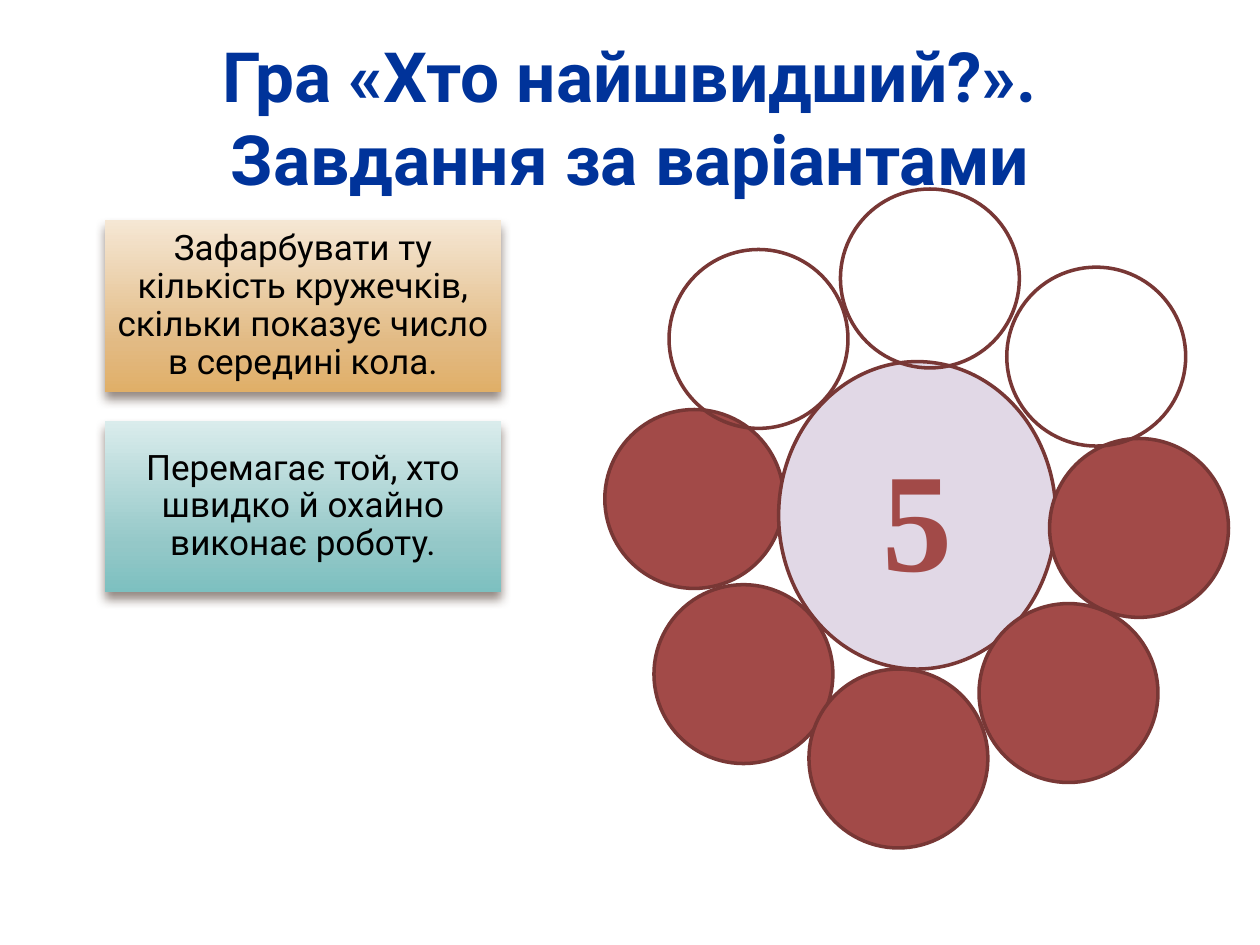
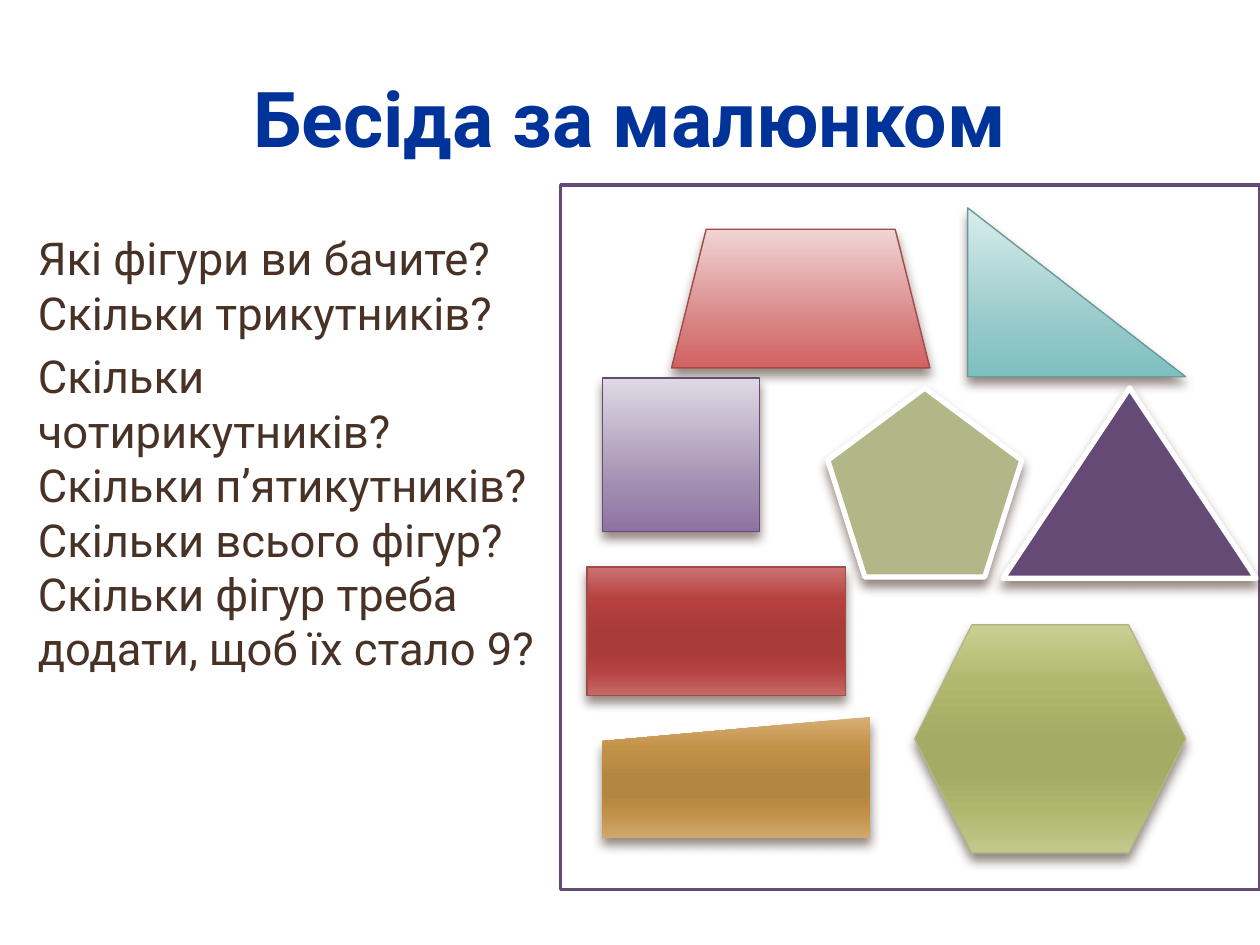
from lxml.etree import SubElement
from pptx import Presentation
from pptx.dml.color import RGBColor
from pptx.enum.shapes import MSO_SHAPE as Shape
from pptx.enum.text import MSO_ANCHOR as Anchor, MSO_AUTO_SIZE as AutoSize, PP_ALIGN as Align
from pptx.oxml.ns import qn
from pptx.util import Inches, Pt

TITLE_ONLY, TITLE_AND_CONTENT = 5, 1
SHEEN_POSITIONS = (0, 25, 50, 65, 80, 100)
SOFT_POSITIONS = (0, 72, 100)

SAND = ("F5E7D4", "E2BA83", "E0AF68")
AQUA = ("DAECEC", "94C8C8", "7DC0C0")
ROSE = ("F1D4D4", "D67F7E", "D26160")
LILAC = ("DFD9E4", "A08CB0", "8E72A3")
RED_SHEEN = ("CB7372", "B6413F", "A93B39", "A93B39", "B4413F", "C56B69")
GREEN_SHEEN = ("C9D092", "B0B86F", "A3AB65", "A3AB65", "AFB76E", "C2C98B")
GOLD_SHEEN = ("D7AE76", "C29248", "B48741", "B48741", "C19147", "D1A86E")
BRICK, DARK_BRICK, PLUM, OLIVE, WHITE = "A24A48", "783735", "654A76", "B2B787", "FFFFFF"


def color(hex_code):
    return RGBColor.from_string(hex_code)


class Deck:
    FONT = "Roboto"
    TITLE_COLOR = "00339A"
    BODY_COLOR = "483226"
    SHADOW_COLOR = "4E3B30"

    def __init__(self):
        self.prs = Presentation()
        self.prs.slide_width, self.prs.slide_height = Inches(10), Inches(7.5)
        self.slide = None

    def add_slide(self, layout, title, title_size):
        self.slide = self.prs.slides.add_slide(self.prs.slide_layouts[layout])
        heading = self.slide.shapes.title
        self.place(heading, 0.5, 0.3, 9, 1.25)
        frame = heading.text_frame
        frame.text = title
        frame.auto_size = AutoSize.NONE
        frame.vertical_anchor = Anchor.MIDDLE
        frame.paragraphs[0].alignment = Align.CENTER
        self.style(frame.paragraphs[0], title_size, self.TITLE_COLOR, bold=True)

    def place(self, item, left, top, width, height):
        item.left, item.top = Inches(left), Inches(top)
        item.width, item.height = Inches(width), Inches(height)

    def style(self, paragraph, size, hex_code, bold=False, name=FONT):
        font = paragraph.font
        font.name, font.size, font.bold = name, Pt(size), bold
        font.color.rgb = color(hex_code)

    def body(self, box, lines, size):
        questions = self.slide.placeholders[1]
        self.place(questions, *box)
        frame = questions.text_frame
        frame.text = "\n".join(lines)
        frame.auto_size = AutoSize.NONE
        for i, paragraph in enumerate(frame.paragraphs):
            props = paragraph._p.get_or_add_pPr()
            props.set("marL", "0")
            props.set("indent", "0")
            paragraph.space_before = Pt(5.2 if i else 0)
            SubElement(props, qn("a:buNone"))
            self.style(paragraph, size, self.BODY_COLOR)

    def figure(self, kind, box, fill=None, line=None, line_width=2, shadow=False):
        """Add a preset shape; fill is None, one colour or a tuple of gradient colours."""
        figure = self.slide.shapes.add_shape(kind, *map(Inches, box))
        figure.shadow.inherit = False
        if fill is None:
            figure.fill.background()
        elif isinstance(fill, tuple):
            self.gradient(figure, fill)
        else:
            figure.fill.solid()
            figure.fill.fore_color.rgb = color(fill)
        if line:
            figure.line.color.rgb = color(line)
            figure.line.width = Pt(line_width)
        else:
            figure.line.fill.background()
        if shadow:
            self.drop_shadow(figure)
        return figure

    def gradient(self, figure, colors):
        figure.fill.gradient()
        figure.fill.gradient_angle = 270
        stops = figure._element.spPr.find(qn("a:gradFill")).find(qn("a:gsLst"))
        for stop in list(stops):
            stops.remove(stop)
        positions = SOFT_POSITIONS if len(colors) == 3 else SHEEN_POSITIONS
        for position, hex_code in zip(positions, colors):
            stop = SubElement(stops, qn("a:gs"), pos=str(position * 1000))
            SubElement(stop, qn("a:srgbClr"), val=hex_code)

    def drop_shadow(self, figure):
        effects = figure._element.spPr.find(qn("a:effectLst"))
        shadow = SubElement(effects, qn("a:outerShdw"), blurRad=str(Pt(6)), dist=str(Pt(4)),
                            dir="5400000", algn="ctr", rotWithShape="0")
        tint = SubElement(shadow, qn("a:srgbClr"), val=self.SHADOW_COLOR)
        SubElement(tint, qn("a:alpha"), val="60000")

    def label(self, figure, text, size, hex_code, **font):
        frame = figure.text_frame
        frame.text = text
        frame.word_wrap = True
        frame.vertical_anchor = Anchor.MIDDLE
        paragraph = frame.paragraphs[0]
        paragraph.alignment = Align.CENTER
        self.style(paragraph, size, hex_code, **font)
        return frame

    def card(self, top, text, fill):
        card = self.figure(Shape.RECTANGLE, (0.83, top, 3.15, 1.36), fill, shadow=True)
        frame = self.label(card, text, 20, "000000")
        frame.margin_left = frame.margin_right = Inches(0.08)
        frame.margin_top = frame.margin_bottom = Inches(0.08)
        frame.paragraphs[0].line_spacing = 0.9

    def petal(self, left, top, fill=None):
        self.figure(Shape.OVAL, (left, top, 1.42, 1.42), fill, DARK_BRICK)

    def send_to_back(self, figure):
        self.slide.shapes._spTree.insert(2, figure._element)


def build_game(deck):
    deck.add_slide(TITLE_ONLY, "Гра «Хто найшвидший?». Завдання за варіантами", 39.6)
    deck.card(1.75, "Зафарбувати ту кількість кружечків, скільки показує число в середині кола.", SAND)
    deck.card(3.34, "Перемагає той, хто швидко й охайно виконає роботу.", AQUA)

    deck.petal(4.8, 3.25, BRICK)
    center = deck.figure(Shape.OVAL, (6.18, 2.87, 2.2, 2.44), "E1D8E6", DARK_BRICK)
    deck.label(center, "5", 80, BRICK, bold=True, name="Times New Roman")
    for left, top in ((5.19, 4.64), (6.42, 5.31), (7.77, 4.79), (8.33, 3.48)):
        deck.petal(left, top, BRICK)
    for left, top in ((5.31, 1.98), (7.99, 2.12), (6.67, 1.5)):
        deck.petal(left, top)


def build_talk(deck):
    deck.add_slide(TITLE_AND_CONTENT, "Бесіда за малюнком", 44)
    deck.body((0.2, 1.78, 4.25, 2.79), (
        "Які фігури ви бачите? Скільки трикутників?",
        "Скільки чотирикутників? Скільки п’ятикутників? Скільки всього фігур? "
        "Скільки фігур треба додати, щоб їх стало 9?",
    ), 25.9)
    drawing_frame = deck.figure(Shape.RECTANGLE, (4.45, 1.47, 5.55, 5.59), WHITE, PLUM)
    deck.send_to_back(drawing_frame)

    thin, thick = 0.79, 3
    for kind, box, fill, line, width in (
        (Shape.TRAPEZOID, (5.33, 1.82, 2.05, 1.1), ROSE, BRICK, thin),
        (Shape.RECTANGLE, (4.78, 3, 1.25, 1.22), LILAC, PLUM, thin),
        (Shape.RIGHT_TRIANGLE, (7.68, 1.65, 1.73, 1.34), AQUA, "6A9A9A", thin),
        (Shape.RECTANGLE, (4.66, 4.5, 2.05, 1.02), RED_SHEEN, BRICK, thin),
        (Shape.HEXAGON, (7.26, 4.96, 2.15, 1.81), GREEN_SHEEN, OLIVE, thin),
        (Shape.ISOSCELES_TRIANGLE, (7.96, 3.08, 2.01, 1.51), PLUM, WHITE, thick),
        (Shape.REGULAR_PENTAGON, (6.57, 3.08, 1.54, 1.5), OLIVE, WHITE, thick),
        (Shape.FLOWCHART_MANUAL_INPUT, (4.78, 5.69, 2.13, 0.96), GOLD_SHEEN, None, thin),
    ):
        deck.figure(kind, box, fill, line, width, shadow=True)


def main():
    deck = Deck()
    build_game(deck)
    build_talk(deck)
    deck.prs.save("out.pptx")


if __name__ == "__main__":
    main()
